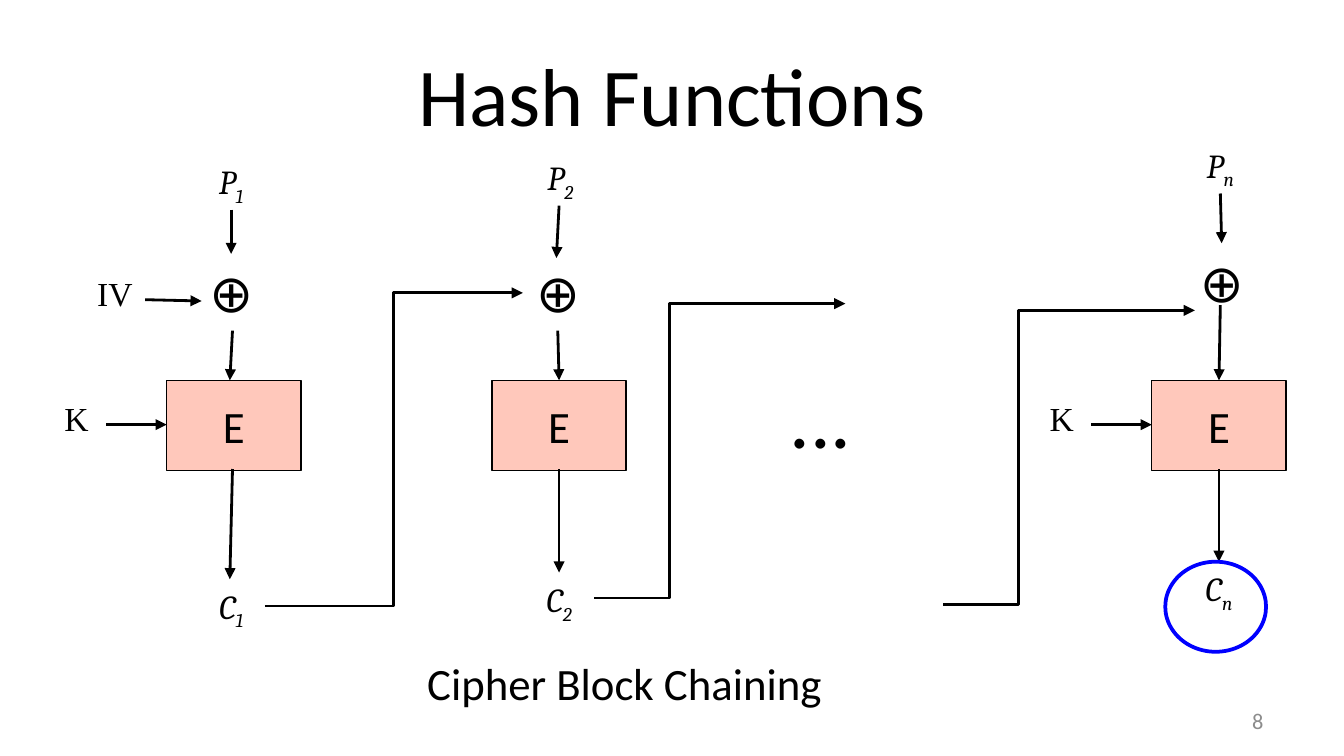
"""Build the slide on cipher block chaining as a hash function."""
from lxml import etree
from pptx import Presentation
from pptx.dml.color import RGBColor
from pptx.enum.shapes import MSO_CONNECTOR as Route, MSO_SHAPE as Preset
from pptx.enum.text import MSO_ANCHOR as Anchor, PP_ALIGN as Align
from pptx.oxml.ns import qn
from pptx.util import Emu, Pt

EMU_PER_PX = 9144
SLIDE_WIDTH = 1000
BLACK = RGBColor(0x00, 0x00, 0x00)
GRAY = RGBColor(0x8C, 0x8C, 0x8C)
SALMON = RGBColor(0xFF, 0xC8, 0xBB)
BLUE = RGBColor(0x00, 0x00, 0xFF)

BLOCK_TOP, BLOCK_WIDTH, BLOCK_HEIGHT = 283, 100, 67
STAGES = [
    dict(index="1", block=124, plain=(147, 115), xor=(146, 189), cipher=(147, 431),
         flow=[(172, 156, 172, 189), (173, 246, 171, 283), (173, 349, 171, 431)]),
    dict(index="2", block=366, plain=(392, 112), xor=(389, 189), cipher=(391, 426),
         flow=[(416, 153, 414, 192), (415, 246, 416, 283), (416, 349, 416, 426)]),
    dict(index="n", block=857, plain=(883, 103), xor=(883, 181), cipher=(882, 418),
         flow=[(908, 144, 909, 181), (908, 227, 907, 283), (907, 349, 907, 418)]),
]
KEYED_BLOCKS = [124, 857]
FEEDBACKS = [
    ((197, 451, 389, 218), 0.5),
    ((442, 445, 629, 226), 0.3),
    ((702, 450, 889, 231), 0.3),
]


def px(*lengths):
    """Turn px lengths into EMU."""
    return [Emu(length * EMU_PER_PX) for length in lengths]


def add_run(paragraph, text, size, font, color=BLACK, italic=None):
    """Append one styled run and return it."""
    run = paragraph.add_run()
    run.text = text
    run.font.size = Pt(size)
    run.font.name = font
    run.font.color.rgb = color
    run.font.italic = italic
    return run


def add_label(slide, box, text, size, font="Calibri", color=BLACK,
              align=Align.CENTER, anchor=Anchor.TOP, wrap=False):
    """Add a one-line text box."""
    frame = slide.shapes.add_textbox(*px(*box)).text_frame
    frame.word_wrap = wrap
    frame.vertical_anchor = anchor
    frame.paragraphs[0].alignment = align
    add_run(frame.paragraphs[0], text, size, font, color)


def add_variable(slide, position, letter, index):
    """Add an italic letter with a subscript."""
    frame = slide.shapes.add_textbox(*px(*position, 50, 40)).text_frame
    frame.word_wrap = False
    symbol = frame.paragraphs[0]
    symbol.alignment = Align.CENTER
    add_run(symbol, letter, 18, "Cambria", italic=True)
    subscript = add_run(symbol, index, 18, "Cambria", italic=True)
    subscript.font._element.set("baseline", "-25000")


def add_arrow(slide, ends, bend=None):
    """Add an arrow, with an elbow at the given share of its width."""
    route = Route.STRAIGHT if bend is None else Route.ELBOW
    arrow = slide.shapes.add_connector(route, *px(*ends))
    arrow.line.color.rgb = BLACK
    arrow.line.width = Pt(1.5)
    properties = arrow._element.spPr
    etree.SubElement(properties.find(qn("a:ln")), qn("a:tailEnd"), type="triangle")
    etree.SubElement(properties, qn("a:effectLst"))
    if bend is not None:
        adjustments = properties.find(qn("a:prstGeom")).find(qn("a:avLst"))
        etree.SubElement(adjustments, qn("a:gd"), name="adj1",
                         fmla=f"val {round(bend * 100000)}")


def add_outlined(slide, preset, box, line_color, line_width, fill=None):
    """Add an outlined shape, filled when a colour is given."""
    shape = slide.shapes.add_shape(preset, *px(*box))
    shape.shadow.inherit = False
    shape.line.color.rgb = line_color
    shape.line.width = Pt(line_width)
    if fill is None:
        shape.fill.background()
    else:
        shape.fill.solid()
        shape.fill.fore_color.rgb = fill
    return shape


def add_block(slide, left):
    """Add an encryption block."""
    block = add_outlined(slide, Preset.RECTANGLE,
                         (left, BLOCK_TOP, BLOCK_WIDTH, BLOCK_HEIGHT),
                         BLACK, 0.75, SALMON)
    frame = block.text_frame
    frame.word_wrap = False
    frame.vertical_anchor = Anchor.MIDDLE
    frame.paragraphs[0].alignment = Align.CENTER
    add_run(frame.paragraphs[0], "E", 24, "Calibri")


def add_stage(slide, index, block, plain, xor, cipher, flow):
    """Add one chaining stage from plaintext to ciphertext."""
    add_block(slide, block)
    add_variable(slide, plain, "P", index)
    add_label(slide, (*xor, 51, 57), "⊕", 28)
    add_variable(slide, cipher, "C", index)
    for ends in flow:
        add_arrow(slide, ends)


def add_key(slide, block):
    """Add the key that enters a block from the left."""
    add_label(slide, (block - 89, 291, 44, 50), "K", 18, "Times New Roman")
    add_arrow(slide, (block - 45, 316, block, 316))


def main():
    """Build and save the slide."""
    deck = Presentation()
    deck.slide_width = Emu(SLIDE_WIDTH * EMU_PER_PX)
    deck.slide_height = Emu(deck.slide_width * 9 // 16)
    slide = deck.slides.add_slide(deck.slide_layouts[6])

    add_label(slide, (50, 23, 900, 94), "Hash Functions", 44,
              anchor=Anchor.MIDDLE, wrap=True)
    add_label(slide, (717, 521, 233, 30), "8", 12, color=GRAY,
              align=Align.RIGHT, anchor=Anchor.MIDDLE, wrap=True)
    for stage in STAGES:
        add_stage(slide, **stage)
    for block in KEYED_BLOCKS:
        add_key(slide, block)
    add_label(slide, (58, 198, 55, 50), "IV", 18, "Times New Roman")
    add_arrow(slide, (108, 223, 150, 224))
    for ends, bend in FEEDBACKS:
        add_arrow(slide, ends, bend)
    add_label(slide, (575, 268, 71, 83), "...", 44)
    add_outlined(slide, Preset.OVAL, (867, 418, 75, 67), BLUE, 2)
    add_label(slide, (308, 483, 317, 50), "Cipher Block Chaining", 24,
              align=Align.LEFT)
    deck.save("out.pptx")


if __name__ == "__main__":
    main()
